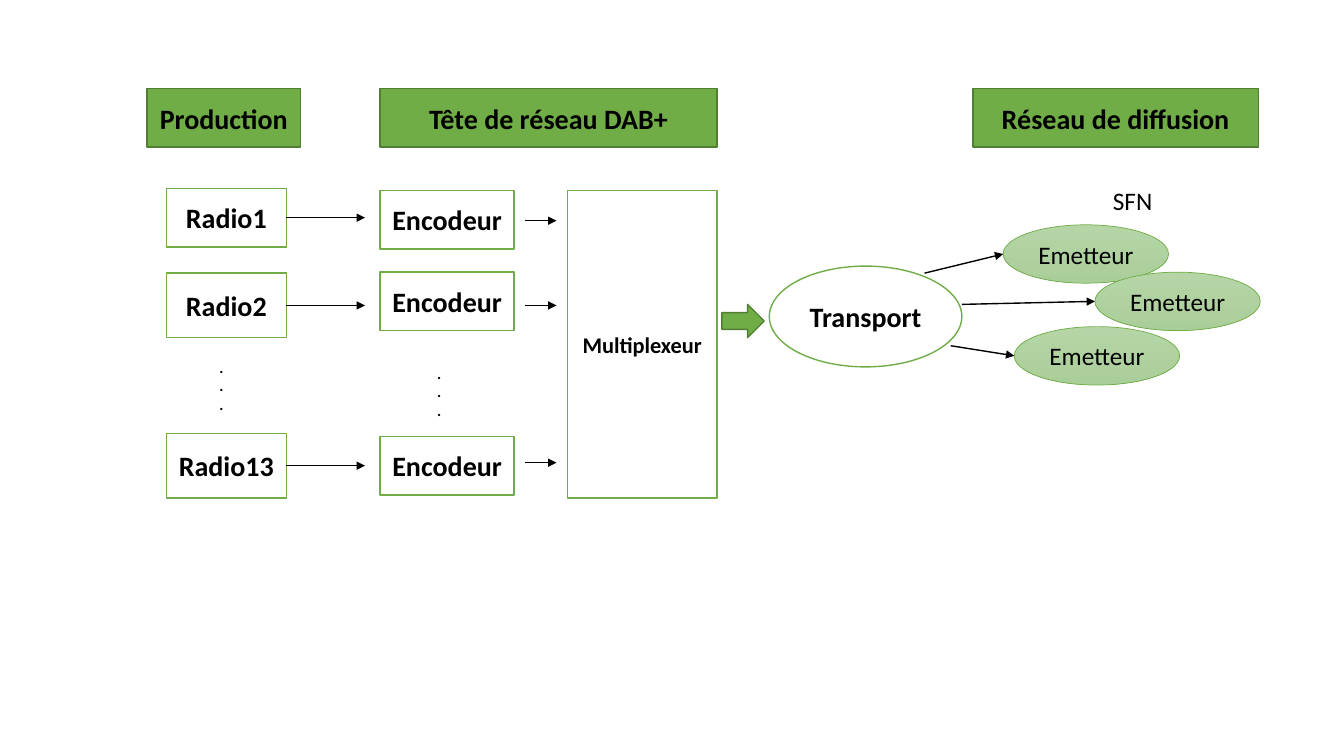
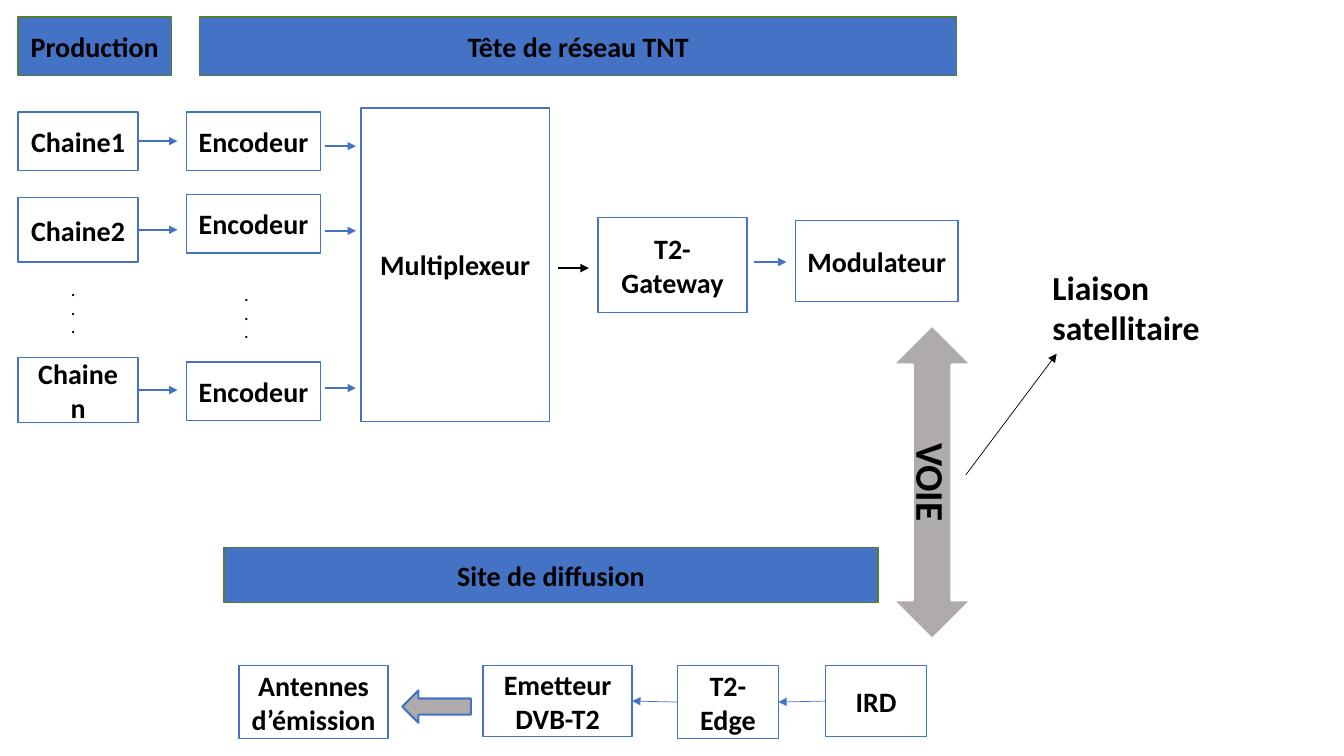
"""Build two block diagrams of the DAB+ radio and TNT television broadcast chains."""
from lxml.etree import SubElement
from pptx import Presentation
from pptx.dml.color import RGBColor
from pptx.enum.shapes import MSO_CONNECTOR, MSO_SHAPE
from pptx.enum.text import MSO_ANCHOR, PP_ALIGN
from pptx.oxml.ns import qn
from pptx.util import Inches, Pt

FONT = "Calibri"
BLACK = RGBColor(0x00, 0x00, 0x00)
WHITE = RGBColor(0xFF, 0xFF, 0xFF)
GREEN = RGBColor(0x70, 0xAD, 0x47)
DARK_GREEN = RGBColor(0x50, 0x7E, 0x32)
PALE_GREEN = RGBColor(0xB5, 0xD5, 0xA7)
SOFT_GREEN = RGBColor(0xAA, 0xCE, 0x99)
BLUE = RGBColor(0x44, 0x72, 0xC4)
GREY = RGBColor(0xAF, 0xAB, 0xAB)
LEFT, RIGHT = 1, 3

SOURCE_WIDTH, SOURCE_HEIGHTS = 1.19, (0.58, 0.64, 0.64)
ENCODER_SIZE = (1.33, 0.58)
DOTS_SIZE = (0.15, 0.66)
FEED_LENGTH = 0.31

RADIO = {
    "accent": GREEN,
    "arrows": BLACK,
    "banners": [
        ("Production", (1.46, 0.88, 1.52, 0.58)),
        ("Tête de réseau DAB+", (3.77, 0.88, 3.34, 0.58)),
        ("Réseau de diffusion", (9.65, 0.88, 2.83, 0.58)),
    ],
    "sources": ("Radio1", "Radio2", "Radio13"),
    "source_left": 1.65,
    "source_tops": (1.87, 2.71, 4.3),
    "source_reach": 0.78,
    "encoder_left": 3.77,
    "encoder_tops": (1.89, 2.7, 4.33),
    "dots": [(2.12, 3.5), (4.28, 3.56)],
    "feed_left": 5.21,
    "feed_levels": (2.19, 3.03, 4.59),
    "multiplexer": (5.63, 1.89, 1.48, 3.05),
    "multiplexer_size": 16,
}
TRANSMITTERS = [
    ((9.95, 2.23), (9.17, 2.71)),
    ((10.06, 3.24), (9.43, 3.43)),
    ((10.86, 2.7), (9.54, 3.02)),
]
TRANSMITTER_SIZE = (1.64, 0.58)

TELEVISION = {
    "accent": BLUE,
    "arrows": BLUE,
    "banners": [
        ("Production", (0.18, 0.17, 1.52, 0.58)),
        ("Tête de réseau TNT", (1.98, 0.17, 7.51, 0.58)),
        ("Site de diffusion", (2.22, 5.43, 6.49, 0.55)),
    ],
    "sources": ("Chaine1", "Chaine2", "Chaine n"),
    "source_left": 0.18,
    "source_tops": (1.11, 1.96, 3.55),
    "source_reach": 0.39,
    "encoder_left": 1.85,
    "encoder_tops": (1.11, 1.93, 3.59),
    "dots": [(0.65, 2.74), (2.37, 2.79)],
    "feed_left": 3.22,
    "feed_levels": (1.45, 2.29, 3.85),
    "multiplexer": (3.58, 1.07, 1.87, 3.11),
    "multiplexer_size": 20,
}
HEAD_END = [
    ("T2-Gateway", (5.93, 2.16, 1.48, 0.94)),
    ("Modulateur", (7.89, 2.19, 1.61, 0.8)),
]
BROADCAST_SITE = [
    ("IRD", (8.19, 6.6, 1, 0.71)),
    ("T2-Edge", (6.72, 6.6, 1, 0.73)),
    ("Emetteur DVB-T2", (4.79, 6.6, 1.48, 0.71)),
    ("Antennes d’émission", (2.37, 6.6, 1.48, 0.73)),
]


def inches(values):
    return [Inches(value) for value in values]


def write(frame, lines, size, bold=True, align=PP_ALIGN.CENTER):
    for index, line in enumerate(lines):
        paragraph = frame.paragraphs[0] if index == 0 else frame.add_paragraph()
        paragraph.alignment = align
        run = paragraph.add_run()
        run.text = line
        run.font.name = FONT
        run.font.size = Pt(size)
        run.font.bold = bold
        run.font.color.rgb = BLACK


def add_block(slide, area, line, fill=WHITE, text="", size=20, bold=True,
              kind=MSO_SHAPE.RECTANGLE, weight=1):
    block = slide.shapes.add_shape(kind, *inches(area))
    block.shadow.inherit = False
    block.line.color.rgb = line
    block.line.width = Pt(weight)
    block.fill.solid()
    block.fill.fore_color.rgb = fill
    if text:
        frame = block.text_frame
        frame.word_wrap = True
        frame.vertical_anchor = MSO_ANCHOR.MIDDLE
        if kind == MSO_SHAPE.OVAL:
            frame.margin_left = frame.margin_right = 0
        write(frame, [text], size, bold)
    return block


def add_label(slide, area, lines, size, bold=True, wrap=True,
              align=PP_ALIGN.LEFT, side_margin=0.1):
    frame = slide.shapes.add_textbox(*inches(area)).text_frame
    frame.word_wrap = wrap
    frame.margin_left = frame.margin_right = Inches(side_margin)
    write(frame, lines, size, bold, align)


def add_arrow(slide, start, end, color, weight=1, origin=None, target=None):
    arrow = slide.shapes.add_connector(
        MSO_CONNECTOR.STRAIGHT, *inches(start), *inches(end))
    if origin is not None:
        arrow.begin_connect(*origin)
    if target is not None:
        arrow.end_connect(*target)
    arrow.line.color.rgb = color
    arrow.line.width = Pt(weight)
    SubElement(arrow.line._get_or_add_ln(), qn("a:tailEnd"), type="triangle")
    SubElement(arrow._element.spPr, qn("a:effectLst"))


def add_head_end(slide, chain):
    accent, arrows = chain["accent"], chain["arrows"]
    for title, area in chain["banners"]:
        add_block(slide, area, DARK_GREEN, accent, title)
    left = chain["source_left"]
    right = left + SOURCE_WIDTH
    for name, top, height in zip(chain["sources"], chain["source_tops"], SOURCE_HEIGHTS):
        source = add_block(slide, (left, top, SOURCE_WIDTH, height), accent, text=name)
        level = top + height / 2
        add_arrow(slide, (right, level), (right + chain["source_reach"], level),
                  arrows, origin=(source, RIGHT))
    for top in chain["encoder_tops"]:
        add_block(slide, (chain["encoder_left"], top, *ENCODER_SIZE), accent,
                  text="Encodeur")
    for corner in chain["dots"]:
        add_label(slide, (*corner, *DOTS_SIZE), "...", 11,
                  align=PP_ALIGN.CENTER, side_margin=0)
    for level in chain["feed_levels"]:
        add_arrow(slide, (chain["feed_left"], level),
                  (chain["feed_left"] + FEED_LENGTH, level), arrows)
    add_block(slide, chain["multiplexer"], accent, text="Multiplexeur",
              size=chain["multiplexer_size"])


def build_radio(slide):
    add_head_end(slide, RADIO)
    add_block(slide, (7.16, 3.02, 0.42, 0.33), DARK_GREEN, GREEN,
              kind=MSO_SHAPE.RIGHT_ARROW)
    add_block(slide, (7.63, 2.64, 1.91, 1), GREEN, text="Transport",
              kind=MSO_SHAPE.OVAL)
    width, height = TRANSMITTER_SIZE
    for (left, top), start in TRANSMITTERS:
        transmitter = add_block(slide, (left, top, width, height), GREEN,
                                text="Emetteur", size=18, bold=False,
                                kind=MSO_SHAPE.OVAL, weight=0.5)
        transmitter.fill.gradient()
        transmitter.fill.gradient_angle = 270
        for stop, shade in zip(transmitter.fill.gradient_stops, (PALE_GREEN, SOFT_GREEN)):
            stop.color.rgb = shade
        add_arrow(slide, start, (left, top + height / 2), BLACK)
    add_label(slide, (10.94, 1.79, 0.6, 0.4), ["SFN"], 18, bold=False, wrap=False)


def build_television(slide):
    add_head_end(slide, TELEVISION)
    for name, area in HEAD_END:
        add_block(slide, area, BLUE, text=name)
    add_arrow(slide, (5.53, 2.66), (5.84, 2.66), BLACK)
    add_arrow(slide, (7.48, 2.6), (7.8, 2.6), BLUE)

    channel = add_block(slide, (7.69, 4.4, 3.11, 0.77), WHITE, GREY, "VOIE", 28,
                        kind=MSO_SHAPE.LEFT_RIGHT_ARROW, weight=1.5)
    channel.rotation = 90
    add_arrow(slide, (9.58, 4.71), (10.48, 3.51), BLACK, 0.5)
    add_label(slide, (10.34, 2.6, 2.19, 0.91), ["Liaison satellitaire"], 24)

    receiver, edge, transmitter, _ = [
        add_block(slide, area, BLUE, text=name) for name, area in BROADCAST_SITE]
    for origin, target in ((receiver, edge), (edge, transmitter)):
        add_arrow(slide, (0, 0), (0, 0), BLUE, 0.5, (origin, LEFT), (target, RIGHT))
    add_block(slide, (3.99, 6.85, 0.68, 0.32), BLUE, GREY,
              kind=MSO_SHAPE.LEFT_ARROW, weight=1.5)


def main():
    deck = Presentation()
    deck.slide_width, deck.slide_height = inches((13.33, 7.5))
    for build in (build_radio, build_television):
        build(deck.slides.add_slide(deck.slide_layouts[6]))
    deck.save("out.pptx")


if __name__ == "__main__":
    main()
